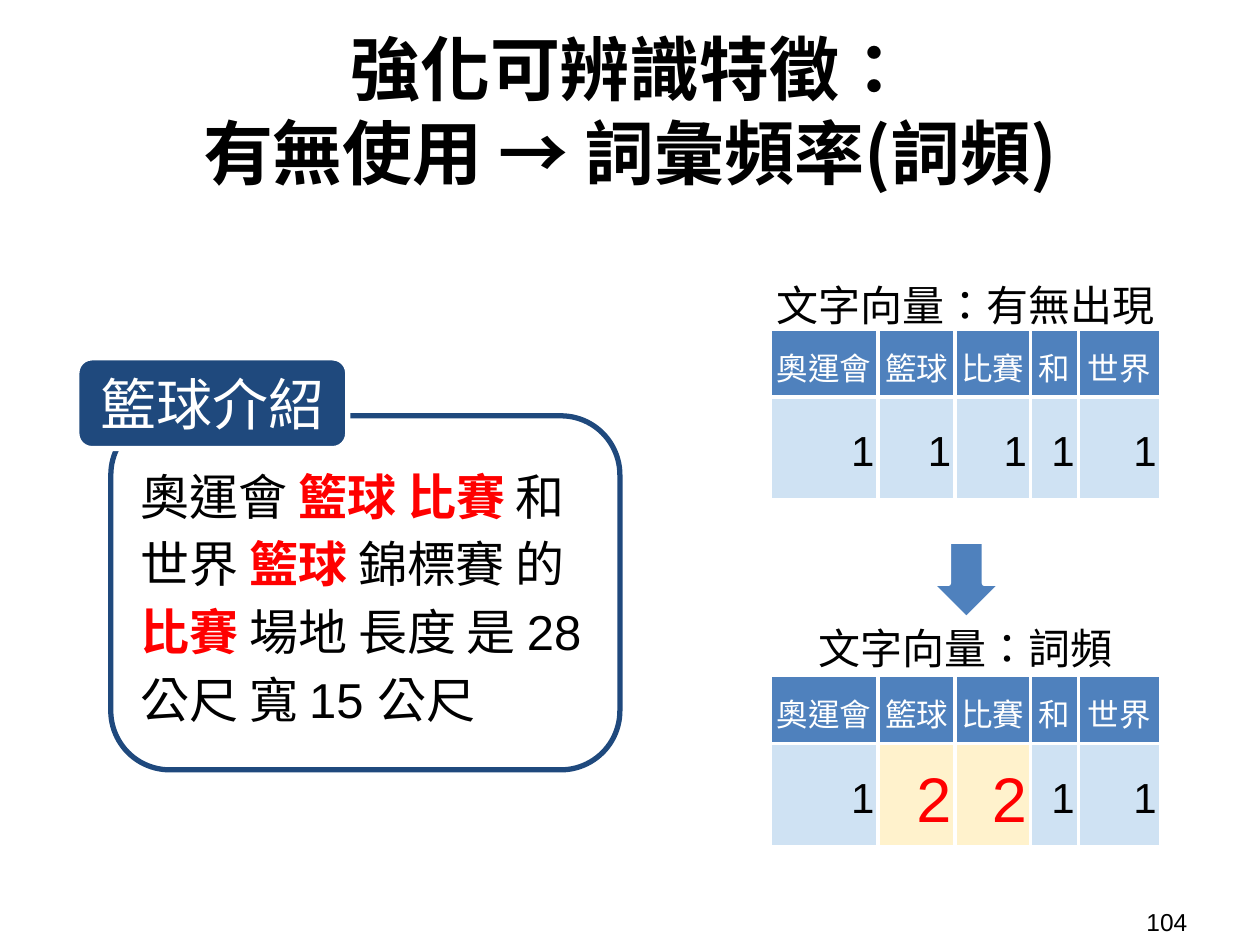
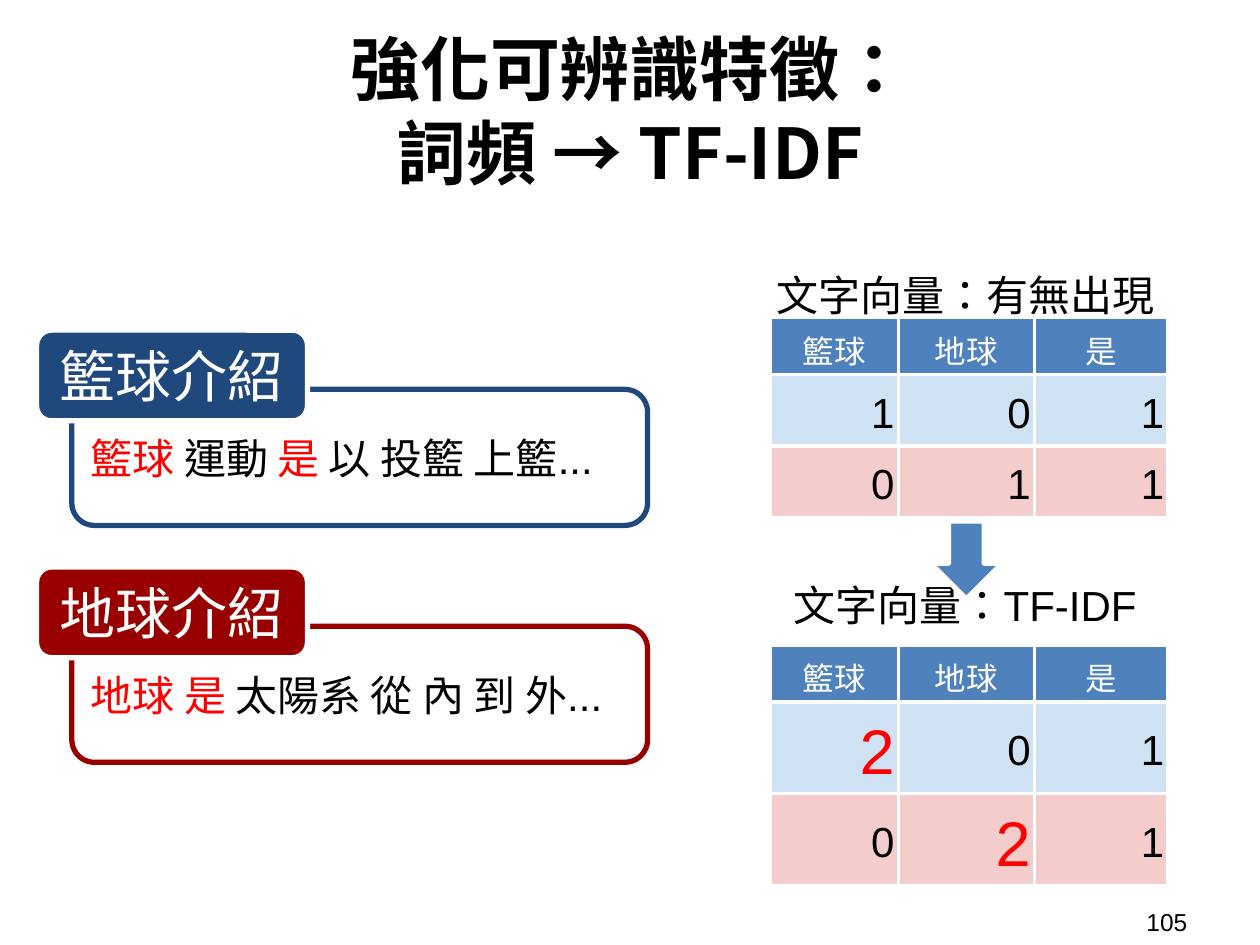
import dataclasses

import lxml.etree
import pptx
import pptx.dml.color
import pptx.enum.shapes
import pptx.enum.text
import pptx.oxml.ns
import pptx.util

Inches, Pt = pptx.util.Inches, pptx.util.Pt
RGB = pptx.dml.color.RGBColor.from_string
qn = pptx.oxml.ns.qn
SHAPE = pptx.enum.shapes.MSO_SHAPE
ALIGN = pptx.enum.text.PP_ALIGN
ANCHOR = pptx.enum.text.MSO_ANCHOR


@dataclasses.dataclass(frozen=True)
class Theme:
    body_font: str = "Arial"
    cjk_font: str = "Noto Sans CJK TC"
    language: str = "zh-TW"
    black: str = "000000"
    white: str = "FFFFFF"
    red: str = "FF0000"
    navy: str = "1F497D"
    maroon: str = "980000"
    blue: str = "4F81BD"
    pale_blue: str = "CFE2F3"
    pale_red: str = "F4CCCC"
    pale_yellow: str = "FFF2CC"
    title: int = 40
    tag: int = 32
    big: int = 36
    passage: int = 28
    body: int = 24
    header: int = 18
    number: int = 14
    outline: float = 3
    border: float = 2.25


T = Theme()


def write(tf, text, size, color=T.black, align=None, face=T.body_font,
          bold=None, bold_marks=None, spacing=None):
    """Fill a text frame; newlines split paragraphs, *marked* words turn red."""
    for i, line in enumerate(text.split("\n")):
        p = tf.add_paragraph() if i else tf.paragraphs[0]
        p.alignment = align
        p.line_spacing = spacing
        p.font.size, p.font.bold, p.font.name = Pt(size), bold, face
        p.font.color.rgb = RGB(color)
        ea = lxml.etree.SubElement(p._p.pPr.find(qn("a:defRPr")), qn("a:ea"))
        ea.set("typeface", T.cjk_font)
        for j, part in enumerate(line.split("*")):
            if part:
                r = p.add_run()
                r.text = part
                r._r.get_or_add_rPr().set("lang", T.language)
                if j % 2:
                    r.font.color.rgb = RGB(T.red)
                    r.font.bold = bold_marks


def add_block(s, box, kind=None, fill=None, line=None, anchor=ANCHOR.MIDDLE, pad=0.1):
    """Add a preset shape, or a text box when no kind is given."""
    box = [Inches(v) for v in box]
    if kind is None:
        sp = s.shapes.add_textbox(*box)
    else:
        sp = s.shapes.add_shape(kind, *box)
        sp.shadow.inherit = False
        sp.fill.solid()
        sp.fill.fore_color.rgb = RGB(fill)
        sp.line.color.rgb = RGB(line)
        sp.line.width = Pt(T.outline)
    tf = sp.text_frame
    tf.word_wrap = True
    tf.vertical_anchor = anchor
    tf.margin_left = tf.margin_right = Inches(0.1)
    tf.margin_top = tf.margin_bottom = Inches(pad)
    return sp


basketball, earth = "籃球介紹", "地球介紹"
presence = "文字向量：有無出現"
words = ["奧運會", "籃球", "比賽", "和", "世界"]
terms = ["籃球", "地球", "是"]
word_cols, word_rows = [0.86, 0.61, 0.6, 0.38, 0.65], [0.54, 0.82]
term_cols = [1.02, 1.08, 1.06]
presence_rows, tfidf_rows = [0.45, 0.57, 0.57], [0.45, 0.69, 0.69]

# cards: tag, colour, tag corner, body box, body text, size, bold marks, spacing
# vectors: caption, caption top, table top, row heights, values
slides = [
    dict(
        number="104",
        title="強化可辨識特徵：\n有無使用 → 詞彙頻率(詞頻)",
        cards=[(basketball, T.navy, (0.61, 2.84), (0.88, 3.3, 4.04, 2.81),
                "奧運會 *籃球 比賽* 和 世界 *籃球* 錦標賽 的 *比賽* 場地 長度 是 28 公尺 寬 15 公尺",
                T.passage, True, 1.15)],
        header=words, cols=word_cols,
        vectors=[(presence, 2.12, 2.61, word_rows, ["11111"]),
                 ("文字向量：詞頻", 4.84, 5.36, word_rows, ["12211"])],
        highlight=T.pale_yellow,
        arrow_top=4.32,
    ),
    dict(
        number="105",
        title="強化可辨識特徵：\n詞頻 → TF-IDF",
        cards=[(basketball, T.navy, (0.29, 2.62), (0.57, 3.09, 4.57, 1.08),
                "*籃球* 運動 *是* 以 投籃 上籃...", T.body, None, None),
               (earth, T.maroon, (0.29, 4.5), (0.57, 4.97, 4.57, 1.08),
                "*地球 是* 太陽系 從 內 到 外...", T.body, None, None)],
        header=terms, cols=term_cols,
        vectors=[(presence, 2.04, 2.52, presence_rows, ["101", "011"]),
                 ("文字向量：TF-IDF", 4.5, 5.12, tfidf_rows, ["201", "021"])],
        highlight=None,
        arrow_top=4.16,
    ),
]

prs = pptx.Presentation()
prs.slide_width, prs.slide_height = Inches(10), Inches(7.5)

for page in slides:
    s = prs.slides.add_slide(prs.slide_layouts[6])
    sp = add_block(s, (9, 7.17, 0.92, 0.29), pad=0.05)
    write(sp.text_frame, page["number"], T.number)
    sp = add_block(s, (0.52, 0.19, 8.96, 1.36))
    write(sp.text_frame, page["title"], T.title, align=ALIGN.CENTER,
          face=T.cjk_font, bold=True)

    for tag, color, corner, box, text, size, bold_marks, spacing in page["cards"]:
        sp = add_block(s, box, SHAPE.ROUNDED_RECTANGLE, T.white, color)
        write(sp.text_frame, text, size, align=ALIGN.LEFT,
              bold_marks=bold_marks, spacing=spacing)
        sp = add_block(s, (*corner, 2.15, 0.72), SHAPE.ROUNDED_RECTANGLE, color, T.white)
        write(sp.text_frame, tag, T.tag, T.white, ALIGN.CENTER)

    for caption, caption_top, table_top, rows, values in page["vectors"]:
        sp = add_block(s, (5.97, caption_top, 3.38, 0.44), anchor=ANCHOR.TOP)
        write(sp.text_frame, caption, T.body, align=ALIGN.CENTER)

        cols = page["cols"]
        table = s.shapes.add_table(
            len(rows), len(cols), Inches(6.11), Inches(table_top),
            Inches(sum(cols)), Inches(sum(rows))).table
        table.first_row = table.horz_banding = False
        for column, width in zip(table.columns, cols):
            column.width = Inches(width)
        for row, height in zip(table.rows, rows):
            row.height = Inches(height)

        row_fills = [T.blue, T.pale_blue, T.pale_red]
        for i, row in enumerate([page["header"], *values]):
            for j, text in enumerate(row):
                cell = table.cell(i, j)
                cell.vertical_anchor = ANCHOR.MIDDLE
                cell.margin_left = cell.margin_right = Inches(0.03)
                cell.margin_top = cell.margin_bottom = Inches(0.02)
                fill, size, color, align = row_fills[i], T.body, T.black, ALIGN.RIGHT
                if i == 0:
                    size, color, align = T.header, T.white, ALIGN.CENTER
                elif text == "2":
                    fill, size, color = page["highlight"] or fill, T.big, T.red
                write(cell.text_frame, text, size, color, align, spacing=1.15)
                tc_pr = cell._tc.get_or_add_tcPr()
                for side in ("lnL", "lnR", "lnT", "lnB"):
                    ln = lxml.etree.SubElement(tc_pr, qn(f"a:{side}"), w=str(Pt(T.border)))
                    solid = lxml.etree.SubElement(ln, qn("a:solidFill"))
                    lxml.etree.SubElement(solid, qn("a:srgbClr"), val=T.white)
                cell.fill.solid()
                cell.fill.fore_color.rgb = RGB(fill)

    arrow = add_block(s, (7.36, page["arrow_top"], 0.62, 0.57),
                      SHAPE.LEFT_ARROW, T.blue, T.white)
    arrow.rotation = 270

prs.save("out.pptx")
